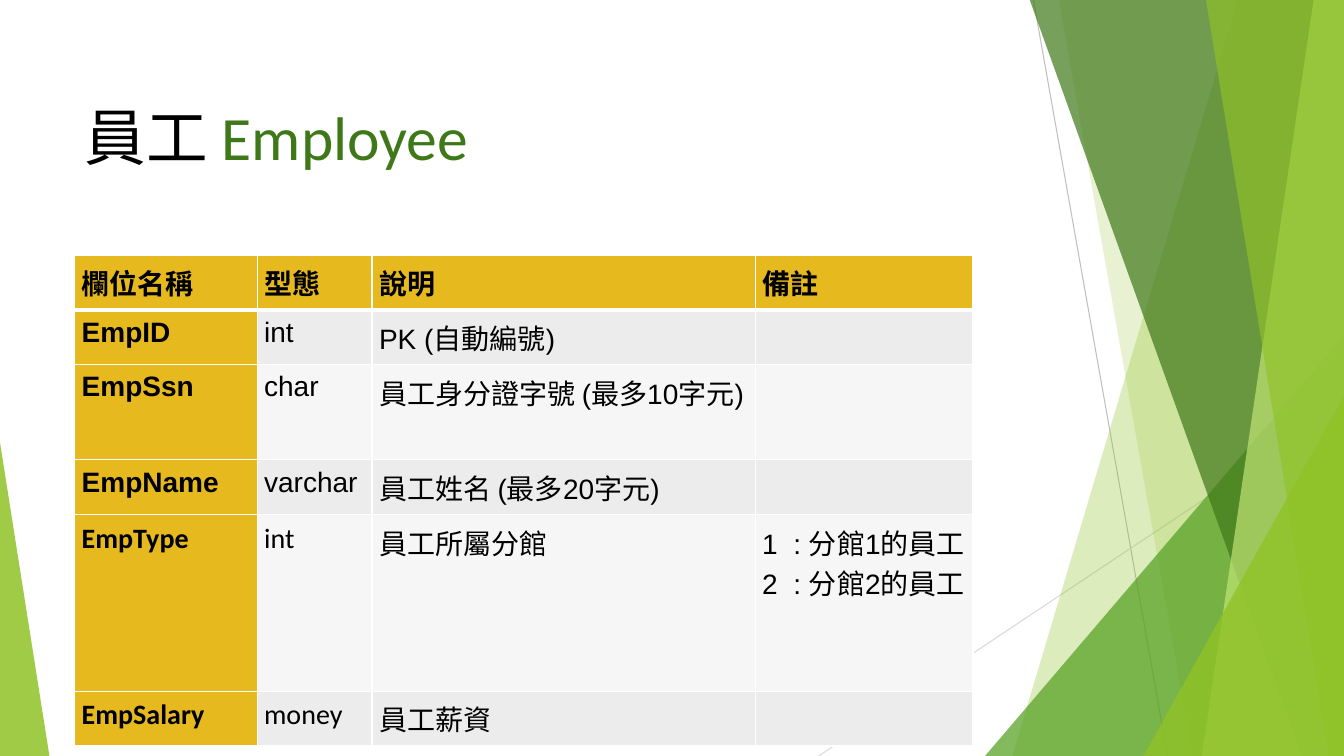
from dataclasses import dataclass

from lxml.etree import SubElement
from pptx import Presentation
from pptx.dml.color import RGBColor
from pptx.enum.shapes import MSO_CONNECTOR, MSO_SHAPE
from pptx.enum.text import MSO_ANCHOR, MSO_AUTO_SIZE, PP_ALIGN
from pptx.oxml import parse_xml
from pptx.oxml.ns import nsdecls, qn
from pptx.util import Inches, Pt

WIDTH, HEIGHT = 13.33, 7.5


@dataclass(frozen=True)
class Theme:
    text: str = "000000"
    white: str = "FFFFFF"
    gold: str = "E6B91E"
    bands: tuple = ("ECECEC", "F6F6F6")
    lime: str = "90C226"
    pale: str = "C0E474"
    green: str = "54A021"
    dark: str = "3F7819"
    title_size: int = 44
    cell_size: int = 20
    latin: str = "Calibri"
    body: str = "Arial"


THEME = Theme()


@dataclass(frozen=True)
class Ray:
    start: tuple
    end: tuple
    color: str


@dataclass(frozen=True)
class Band:
    """Panel reaching the right slide edge, with a slanted left side."""
    top_x: float
    bottom_x: float
    color: str
    alpha: int


@dataclass(frozen=True)
class Wedge:
    left: float
    top: float
    width: float
    apex: float
    color: str
    alpha: int


@dataclass(frozen=True)
class Field:
    name: str
    kind: str
    description: str
    remark: str = ""
    font: str = THEME.body


# Backdrop, from back to front
BACKDROP = [
    Ray((10.25, 0), (11.58, HEIGHT), "BFBFBF"),
    Ray((WIDTH, 4.03), (8.12, HEIGHT), "D9D9D9"),
    Band(12.28, 10.04, THEME.lime, 30),
    Band(10.5, 11.83, THEME.lime, 20),
    Wedge(9.77, 3.33, 3.56, 1, THEME.green, 72),
    Band(10.21, 12.91, THEME.dark, 70),
    Band(13.03, 11.92, THEME.pale, 70),
    Band(11.96, 13.18, THEME.lime, 65),
    Wedge(11.34, 3.93, 1.99, 1, THEME.lime, 80),
    Wedge(0, 4.39, 0.49, 0, THEME.lime, 85),
]

HEADER = Field("欄位名稱", "型態", "說明", "備註")
FIELDS = [
    Field("EmpID", "int", "PK (自動編號)"),
    Field("EmpSsn", "char", "員工身分證字號 (最多10字元)"),
    Field("EmpName", "varchar", "員工姓名 (最多20字元)"),
    Field("EmpType", "int", "員工所屬分館",
          "1  : 分館1的員工\n2  : 分館2的員工", THEME.latin),
    Field("EmpSalary", "money", "員工薪資", font=THEME.latin),
]
COLUMNS = [1.81, 1.14, 3.8, 2.16]
ROWS = [0.41, 0.41, 0.41, 0.41, 0.65, 0.41]


def rgb(color: str) -> RGBColor:
    return RGBColor.from_string(color)


def add_run(p, text: str, size: int, font: str, color: str, bold=False) -> None:
    r = p.add_run()
    r.text = text
    r.font.size = Pt(size)
    r.font.name = font
    r.font.bold = bold
    r.font.color.rgb = rgb(color)


def paint(sp, color: str, alpha: int) -> None:
    sp.shadow.inherit = False
    sp.line.fill.background()
    sp.fill.solid()
    sp.fill.fore_color.rgb = rgb(color)
    clr = sp._element.spPr.find(qn("a:solidFill")).find(qn("a:srgbClr"))
    SubElement(clr, qn("a:alpha")).set("val", str(alpha * 1000))


def draw_ray(s, ray: Ray) -> None:
    line = s.shapes.add_connector(
        MSO_CONNECTOR.STRAIGHT, *map(Inches, ray.start + ray.end))
    line.line.color.rgb = rgb(ray.color)
    line.line.width = Pt(0.75)
    SubElement(line._element.spPr, qn("a:effectLst"))


def draw_band(s, band: Band) -> None:
    top = -0.01
    corners = [(WIDTH, top), (WIDTH, HEIGHT), (band.bottom_x, HEIGHT)]
    outline = s.shapes.build_freeform(Inches(band.top_x), Inches(top))
    outline.add_line_segments([(Inches(x), Inches(y)) for x, y in corners])
    paint(outline.convert_to_shape(), band.color, band.alpha)


def draw_wedge(s, wedge: Wedge) -> None:
    sp = s.shapes.add_shape(
        MSO_SHAPE.ISOSCELES_TRIANGLE, Inches(wedge.left), Inches(wedge.top),
        Inches(wedge.width), Inches(HEIGHT - wedge.top))
    sp.adjustments[0] = wedge.apex
    paint(sp, wedge.color, wedge.alpha)


def draw_title(s) -> None:
    sp = s.shapes.title
    sp.left, sp.top = Inches(0.74), Inches(0.67)
    sp.width, sp.height = Inches(9.4), Inches(1.44)
    tf = sp.text_frame
    tf.word_wrap = True
    tf.auto_size = MSO_AUTO_SIZE.NONE
    tf.vertical_anchor = MSO_ANCHOR.MIDDLE
    p = tf.paragraphs[0]
    p.alignment = PP_ALIGN.LEFT
    p.line_spacing = 0.9
    for text, color in (("員工 ", THEME.text), ("Employee", THEME.dark)):
        add_run(p, text, THEME.title_size, THEME.latin, color)


def set_borders(cell, row: int) -> None:
    widths = {"L": 1, "R": 1, "T": 3 if row == 1 else 1, "B": 3 if row == 0 else 1}
    tc_pr = cell._tc.get_or_add_tcPr()
    for i, (side, width) in enumerate(widths.items()):
        tc_pr.insert(i, parse_xml(
            f'<a:ln{side} {nsdecls("a")} w="{Pt(width)}"><a:solidFill>'
            f'<a:srgbClr val="{THEME.white}"/></a:solidFill></a:ln{side}>'))


def fill_cell(cell, text: str, row: int, col: int, font: str) -> None:
    heading = row == 0 or col == 0
    cell.margin_left = cell.margin_right = Inches(0.07)
    cell.margin_top = cell.margin_bottom = Inches(0.07)
    cell.fill.solid()
    cell.fill.fore_color.rgb = rgb(THEME.gold if heading else THEME.bands[(row - 1) % 2])
    set_borders(cell, row)
    if not text:
        return
    tf = cell.text_frame
    for i, line in enumerate(text.split("\n")):
        p = tf.add_paragraph() if i else tf.paragraphs[0]
        add_run(p, line, THEME.cell_size, font, THEME.text, heading)


def draw_table(s) -> None:
    table = s.shapes.add_table(
        len(ROWS), len(COLUMNS), Inches(0.74), Inches(2.53),
        Inches(sum(COLUMNS)), Inches(sum(ROWS))).table
    for column, width in zip(table.columns, COLUMNS):
        column.width = Inches(width)
    for row, height in zip(table.rows, ROWS):
        row.height = Inches(height)
    for i, field in enumerate([HEADER] + FIELDS):
        texts = (field.name, field.kind, field.description, field.remark)
        for j, text in enumerate(texts):
            font = field.font if j < 2 else THEME.body
            fill_cell(table.cell(i, j), text, i, j, font)


def main() -> None:
    prs = Presentation()
    prs.slide_width, prs.slide_height = Inches(WIDTH), Inches(HEIGHT)
    s = prs.slides.add_slide(prs.slide_layouts[5])
    painters = {Ray: draw_ray, Band: draw_band, Wedge: draw_wedge}
    for part in BACKDROP:
        painters[type(part)](s, part)
    draw_title(s)
    draw_table(s)
    prs.save("out.pptx")


if __name__ == "__main__":
    main()
